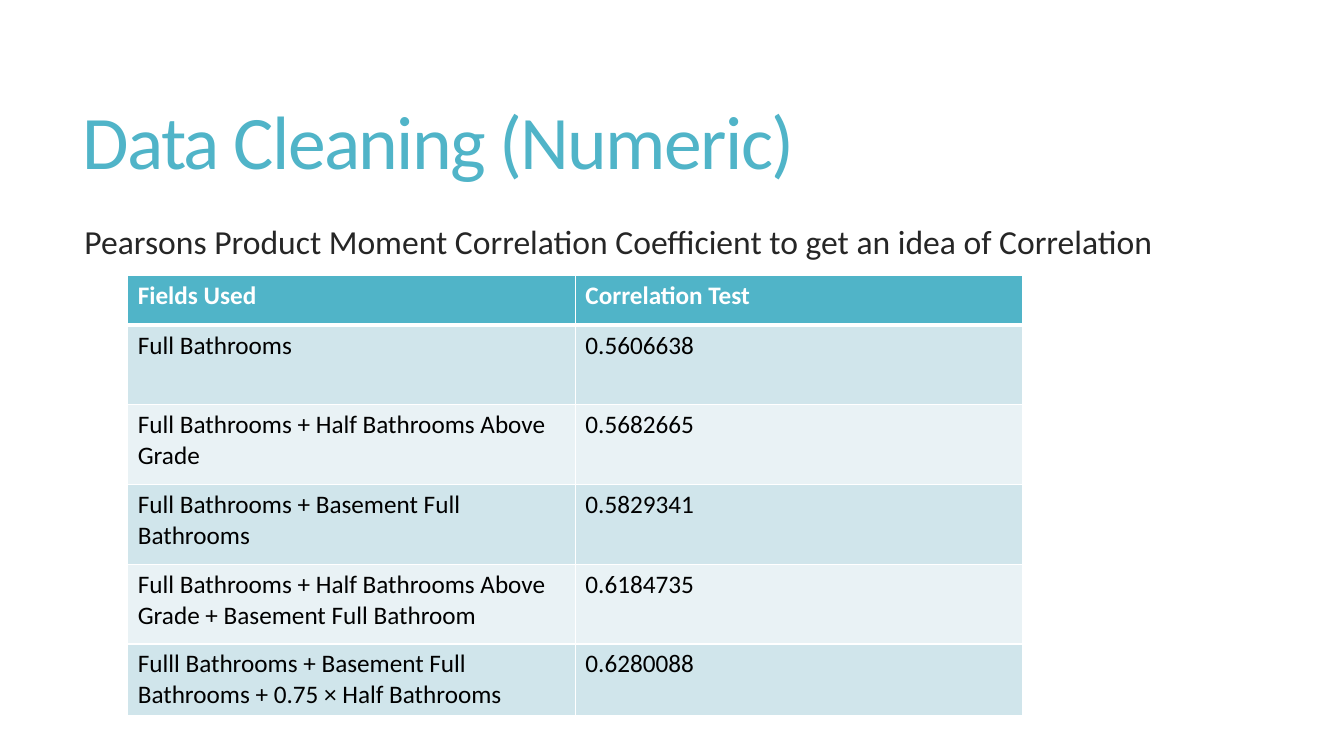
from dataclasses import dataclass

from lxml import etree
from pptx import Presentation
from pptx import util as u
from pptx.dml.color import RGBColor
from pptx.enum import text as t
from pptx.oxml.ns import qn


@dataclass(frozen=True)
class Theme:
    font: str = "Calibri"
    accent: str = "50B4C8"
    body: str = "262626"
    cell: str = "000000"
    white: str = "FFFFFF"
    bands: tuple[str, str] = ("D0E5EB", "E9F2F5")
    title_size: float = 54
    body_size: float = 24
    cell_size: float = 18


@dataclass(frozen=True)
class Box:
    left: float
    top: float
    width: float
    height: float

    def lengths(self) -> tuple[u.Cm, ...]:
        return tuple(u.Cm(v) for v in (self.left, self.top, self.width, self.height))


@dataclass(frozen=True)
class Correlation:
    fields: str
    coefficient: str
    height: float = 2.01


THEME = Theme()
TITLE_BOX = Box(1.83, 1.4, 29.92, 4.6)
LEAD_BOX = Box(1.88, 5.59, 29.87, 10.46)
HEADER = Correlation("Fields Used", "Correlation Test", 1.24)
CORRELATIONS = [
    Correlation("Full Bathrooms", "0.5606638"),
    Correlation("Full Bathrooms + Half Bathrooms Above Grade", "0.5682665"),
    Correlation("Full Bathrooms + Basement Full Bathrooms", "0.5829341"),
    Correlation("Full Bathrooms + Half Bathrooms Above Grade + Basement Full Bathroom", "0.6184735"),
    Correlation("Fulll Bathrooms + Basement Full Bathrooms + 0.75 × Half Bathrooms", "0.6280088", 1.8),
]
COLUMN_WIDTH = 11.28


def write(frame, wording: str, *, size: float, color: str, bold: bool = False,
          line_spacing: float | None = None, before: float | None = None,
          tracking: float | None = None) -> None:
    """Fill a text frame with one formatted paragraph; tracking is in points."""
    frame.word_wrap = True
    paragraph = frame.paragraphs[0]
    if line_spacing is not None:
        paragraph.line_spacing = line_spacing
    if before is not None:
        paragraph.space_before = u.Pt(before)
    run = paragraph.add_run()
    run.text = wording
    run.font.name = THEME.font
    run.font.size = u.Pt(size)
    run.font.bold = bold
    run.font.color.rgb = RGBColor.from_string(color)
    if tracking is not None:
        run.font._element.set("spc", str(round(tracking * 100)))


def add_text_frame(slide, box: Box, anchor: t.MSO_ANCHOR):
    frame = slide.shapes.add_textbox(*box.lengths()).text_frame
    frame.vertical_anchor = anchor
    return frame


def set_borders(cell, bottom: float) -> None:
    """Draw white cell borders, 1 pt except for the bottom one."""
    properties = cell._tc.get_or_add_tcPr()
    widths = {"a:lnL": 1, "a:lnR": 1, "a:lnT": 1, "a:lnB": bottom}
    for position, (side, width) in enumerate(widths.items()):
        line = etree.Element(qn(side), w=str(u.Pt(width)))
        fill = etree.SubElement(line, qn("a:solidFill"))
        etree.SubElement(fill, qn("a:srgbClr"), val=THEME.white)
        properties.insert(position, line)


def add_correlation_table(slide) -> None:
    entries = [HEADER, *CORRELATIONS]
    box = Box(3.22, 6.95, 2 * COLUMN_WIDTH, sum(e.height for e in entries))
    table = slide.shapes.add_table(len(entries), 2, *box.lengths()).table
    for column in table.columns:
        column.width = u.Cm(COLUMN_WIDTH)
    for index, entry in enumerate(entries):
        table.rows[index].height = u.Cm(entry.height)
        is_header = index == 0
        fill = THEME.accent if is_header else THEME.bands[(index - 1) % 2]
        for cell, wording in zip(table.rows[index].cells, (entry.fields, entry.coefficient)):
            cell.fill.solid()
            cell.fill.fore_color.rgb = RGBColor.from_string(fill)
            set_borders(cell, bottom=3 if is_header else 1)
            write(cell.text_frame, wording, size=THEME.cell_size, bold=is_header,
                  color=THEME.white if is_header else THEME.cell)


def main() -> None:
    deck = Presentation()
    deck.slide_width, deck.slide_height = u.Cm(33.87), u.Cm(19.05)
    slide = deck.slides.add_slide(deck.slide_layouts[6])
    write(add_text_frame(slide, TITLE_BOX, t.MSO_ANCHOR.MIDDLE), "Data Cleaning (Numeric)",
          size=THEME.title_size, color=THEME.accent, line_spacing=0.85, tracking=-1.2)
    write(add_text_frame(slide, LEAD_BOX, t.MSO_ANCHOR.TOP),
          "Pearsons Product Moment Correlation Coefficient to get an idea of Correlation",
          size=THEME.body_size, color=THEME.body, line_spacing=0.85, before=13)
    add_correlation_table(slide)
    deck.save("out.pptx")


if __name__ == "__main__":
    main()
